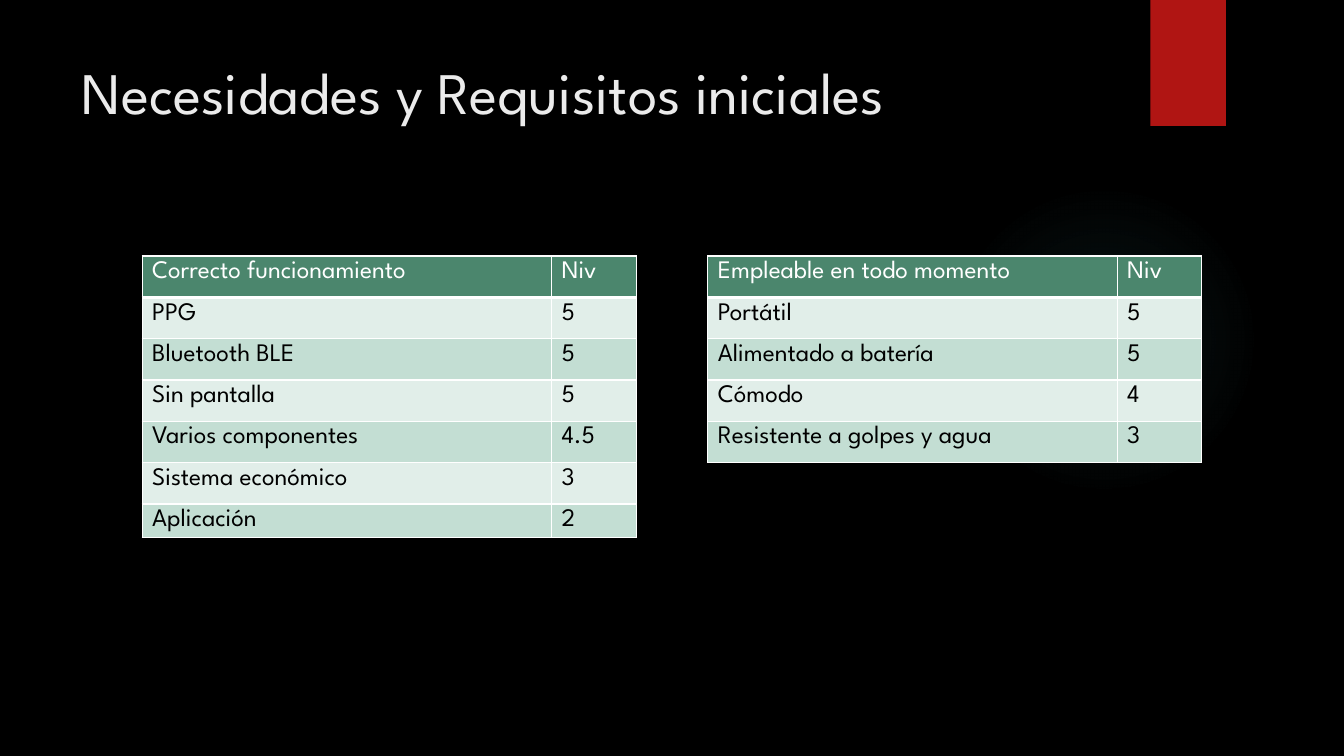
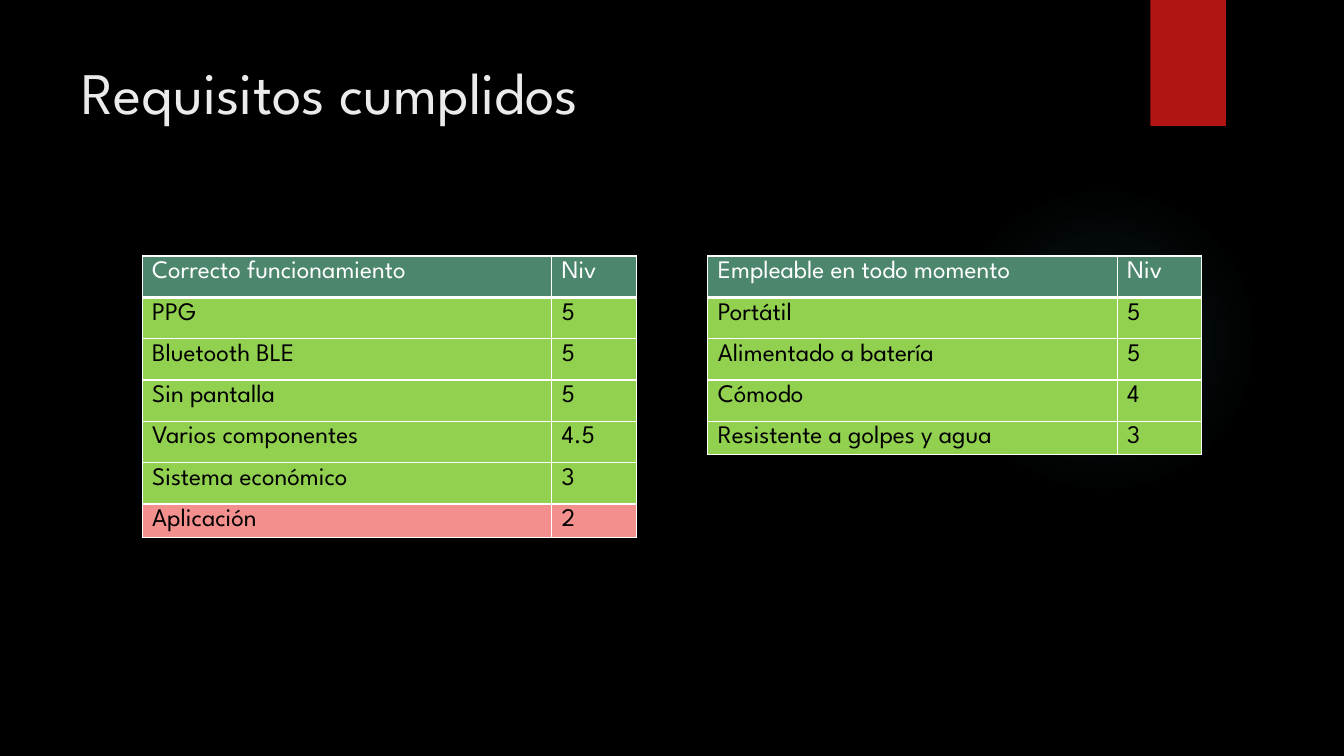
import pptx
import pptx.util
import pptx.oxml
import pptx.oxml.ns
import pptx.dml.color
import pptx.enum.shapes
import pptx.enum.text

Inches = pptx.util.Inches
Pt = pptx.util.Pt
RGBColor = pptx.dml.color.RGBColor

FONT = "League Spartan"
BLACK = RGBColor(0x00, 0x00, 0x00)
WHITE = RGBColor(0xFF, 0xFF, 0xFF)
TITLE = RGBColor(0xEB, 0xEB, 0xEB)
RED = RGBColor(0xB0, 0x15, 0x13)
GLOW = RGBColor(0x50, 0xB9, 0xC1)
HEADER = RGBColor(0x4B, 0x86, 0x6D)
BAND_LIGHT = RGBColor(0xE1, 0xEE, 0xE9)
BAND_DARK = RGBColor(0xC3, 0xDE, 0xD3)
MET = RGBColor(0x92, 0xD0, 0x50)
UNMET = RGBColor(0xF3, 0x8F, 0x8D)

NS = pptx.oxml.ns.nsdecls("a")
ROW_H = 0.41
LAST_ROW_H = 0.33
COL_WIDTHS = (4.06, 0.84)


def write(tf, text, size=18, color=BLACK):
    p = tf.paragraphs[0]
    p.alignment = pptx.enum.text.PP_ALIGN.LEFT
    r = p.add_run()
    r.text = text
    r.font.name = FONT
    r.font.size = Pt(size)
    r.font.color.rgb = color


def add_border(cell, side, width):
    cell._tc.get_or_add_tcPr().append(pptx.oxml.parse_xml(
        f'<a:ln{side} {NS} w="{Pt(width)}"><a:solidFill>'
        f'<a:srgbClr val="{WHITE}"/></a:solidFill></a:ln{side}>'))


function_rows = [
    ("Correcto funcionamiento", "Niv"),
    ("PPG", "5"),
    ("Bluetooth BLE", "5"),
    ("Sin pantalla", "5"),
    ("Varios componentes", "4.5"),
    ("Sistema económico", "3"),
    ("Aplicación", "2"),
]
usability_rows = [
    ("Empleable en todo momento", "Niv"),
    ("Portátil", "5"),
    ("Alimentado a batería", "5"),
    ("Cómodo", "4"),
    ("Resistente a golpes y agua", "3"),
]
banded = [BAND_LIGHT, BAND_DARK]
slides = [
    ("Necesidades y Requisitos iniciales",
     [(1.41, function_rows, banded * 3, LAST_ROW_H),
      (7.02, usability_rows, banded * 2, ROW_H)]),
    ("Requisitos cumplidos",
     [(1.41, function_rows, [MET] * 5 + [UNMET], LAST_ROW_H),
      (7.02, usability_rows, [MET] * 4, LAST_ROW_H)]),
]

prs = pptx.Presentation()
prs.slide_width = Inches(13.33)
prs.slide_height = Inches(7.5)
background = prs.slide_master.background.fill
background.solid()
background.fore_color.rgb = BLACK

for title, tables in slides:
    s = prs.slides.add_slide(prs.slide_layouts[5])

    glow = s.shapes.add_shape(pptx.enum.shapes.MSO_SHAPE.OVAL,
                              Inches(9.41), Inches(1.83), Inches(3.08), Inches(3.08))
    stops = "".join(
        f'<a:gs pos="{pos * 1000}"><a:srgbClr val="{GLOW}">'
        f'<a:alpha val="{alpha * 1000}"/></a:srgbClr></a:gs>'
        for pos, alpha in ((0, 7), (36, 6), (69, 0)))
    glow._element.spPr.insert(2, pptx.oxml.parse_xml(
        f'<a:gradFill {NS}><a:gsLst>{stops}</a:gsLst><a:path path="circle">'
        '<a:fillToRect l="50000" t="50000" r="50000" b="50000"/></a:path></a:gradFill>'))

    ribbon = s.shapes.add_shape(pptx.enum.shapes.MSO_SHAPE.RECTANGLE,
                                Inches(11.41), 0, Inches(0.75), Inches(1.25))
    ribbon.fill.solid()
    ribbon.fill.fore_color.rgb = RED
    for sp in (glow, ribbon):
        sp.line.fill.background()
        sp.shadow.inherit = False

    sp = s.shapes.title
    sp.left, sp.top = Inches(0.71), Inches(0.5)
    sp.width, sp.height = Inches(10.29), Inches(1.53)
    tf = sp.text_frame
    tf.word_wrap = True
    tf.auto_size = pptx.enum.text.MSO_AUTO_SIZE.NONE
    tf.vertical_anchor = pptx.enum.text.MSO_ANCHOR.TOP
    write(tf, title, size=42, color=TITLE)

    for left, rows, fills, last_h in tables:
        heights = [ROW_H] * (len(rows) - 1) + [last_h]
        table = s.shapes.add_table(len(rows), len(COL_WIDTHS), Inches(left), Inches(2.54),
                                   Inches(sum(COL_WIDTHS)), Inches(sum(heights))).table
        table.horz_banding = False
        for column, width in zip(table.columns, COL_WIDTHS):
            column.width = Inches(width)
        for i, (values, fill, height) in enumerate(zip(rows, [HEADER] + fills, heights)):
            table.rows[i].height = Inches(height)
            for j, value in enumerate(values):
                cell = table.cell(i, j)
                for side in "LRTB":
                    add_border(cell, side, 3 if i == 0 and side == "B" else 1)
                cell.fill.solid()
                cell.fill.fore_color.rgb = fill
                write(cell.text_frame, value, color=WHITE if i == 0 else BLACK)

prs.save("out.pptx")
